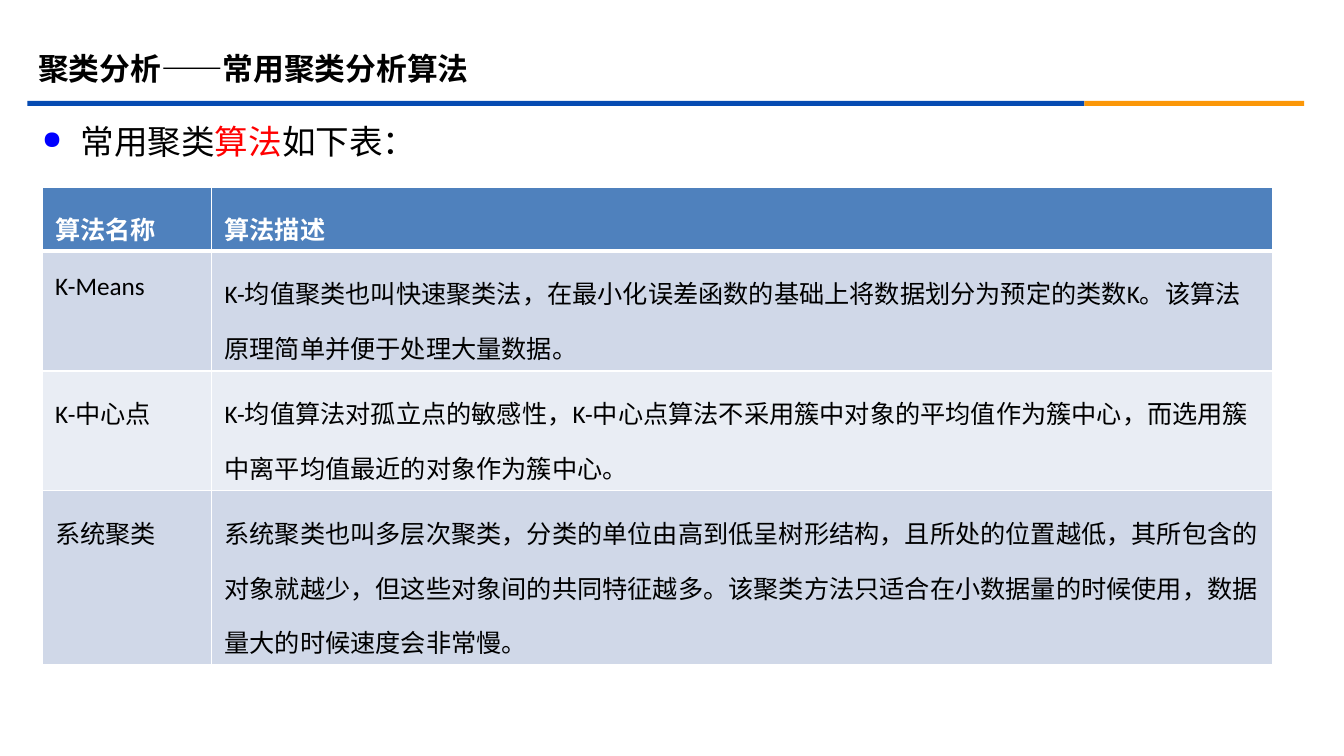
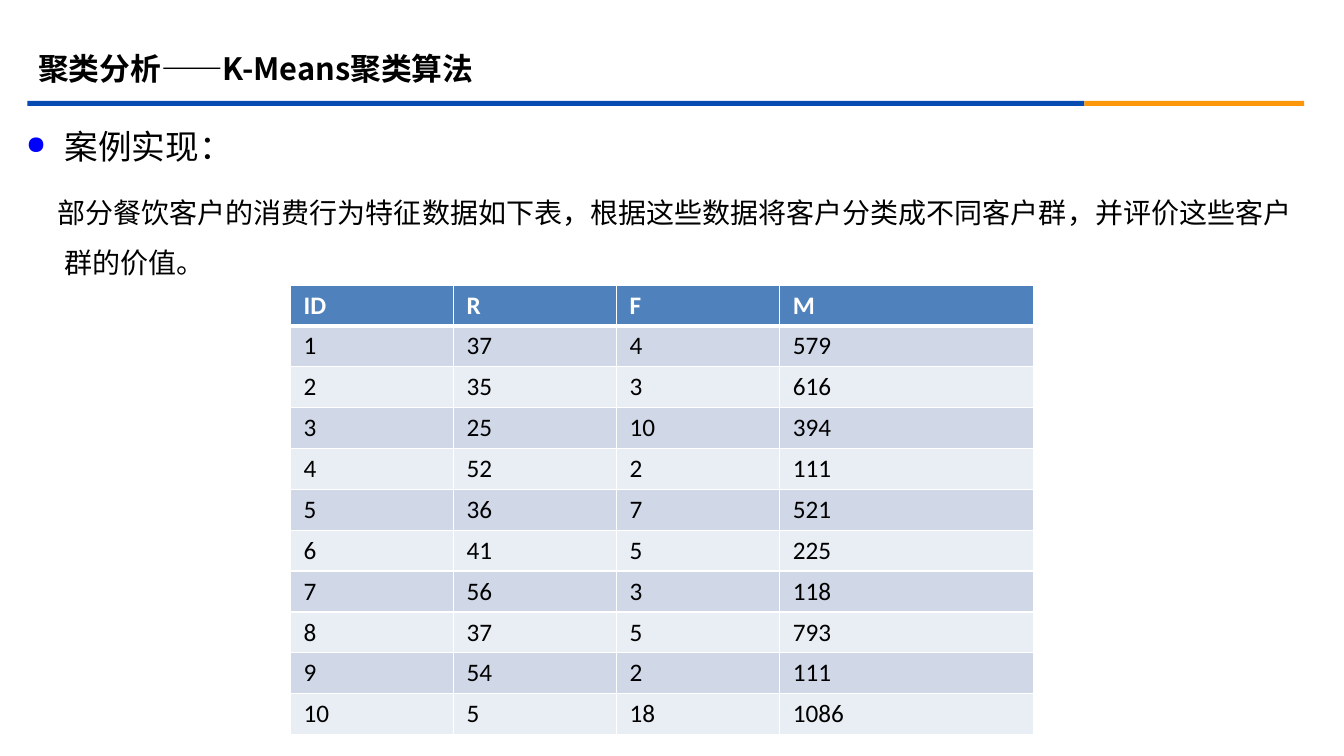
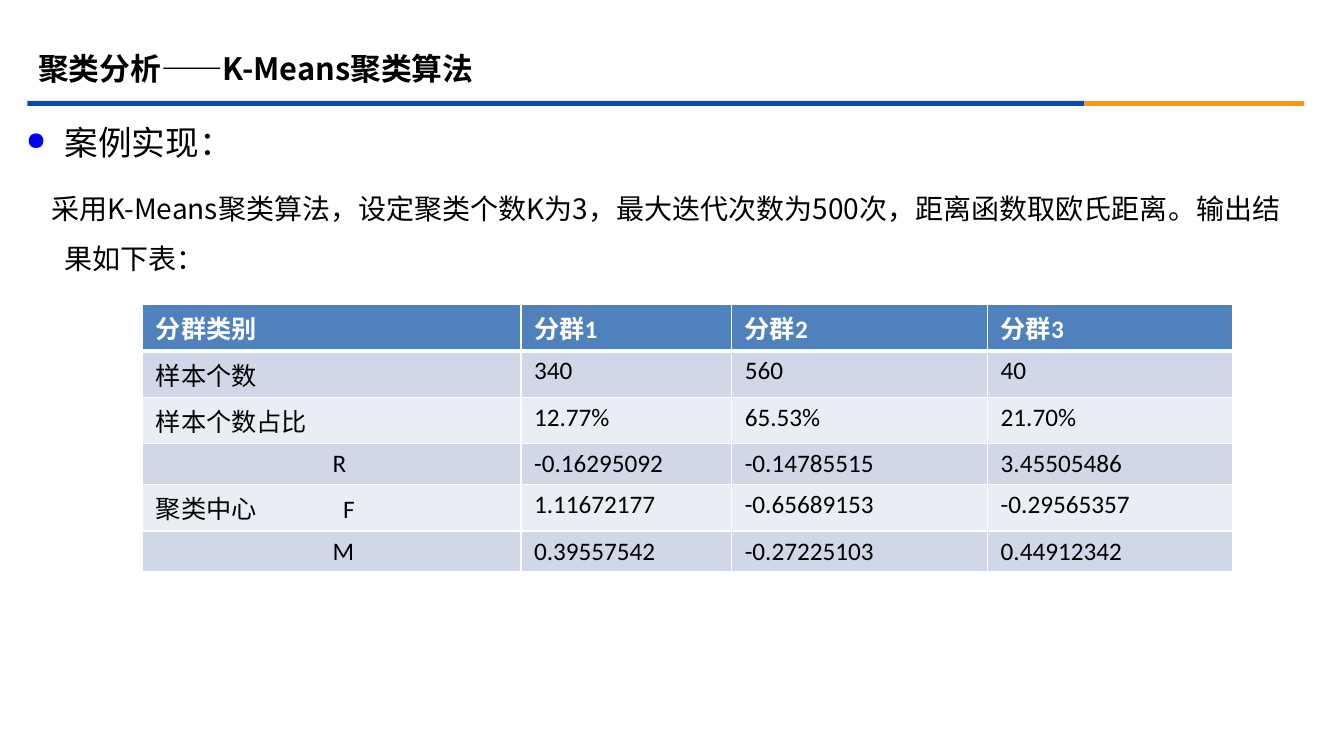
from lxml import etree
from pptx import Presentation
from pptx.dml.color import RGBColor
from pptx.enum.shapes import MSO_SHAPE
from pptx.enum.text import MSO_ANCHOR, MSO_AUTO_SIZE, PP_ALIGN
from pptx.oxml.ns import qn
from pptx.util import Cm, Pt

RECTANGLE = MSO_SHAPE.RECTANGLE
MIDDLE = MSO_ANCHOR.MIDDLE
LEFT = PP_ALIGN.LEFT
NO_AUTOFIT = MSO_AUTO_SIZE.NONE

# Shared style
CJK_FONT = "Noto Sans CJK SC"
TABLE_FONT = "Calibri"
BLACK, WHITE, RED = "000000", "FFFFFF", "FF0000"
BULLET_BLUE = "0000FF"
BAND_BLUE, BAND_ORANGE = "064BB2", "FB9708"
HEADER_FILL = "4F81BD"
ROW_FILLS = ("D0D8E8", "E9EDF4")
TITLE_BOX = (0.71, 0.99, 30.48, 1.47)
BANDS = ((0.69, 26.64, BAND_BLUE), (27.33, 5.54, BAND_ORANGE))
BAND_TOP, BAND_HEIGHT = 2.54, 0.13
HANGING = 0.97
WIDE_SPACING = 1.5
LATIN_ROW, CJK_ROW = 1.03, 1.17


def color(value):
    return RGBColor.from_string(value)


def lengths(box):
    return [Cm(value) for value in box]


def add_run(paragraph, text, size, value=BLACK, bold=False, font=CJK_FONT):
    run = paragraph.add_run()
    run.text = text
    run.font.size = Pt(size)
    run.font.bold = bold
    run.font.color.rgb = color(value)
    run.font.name = font
    east_asian = etree.SubElement(run._r.get_or_add_rPr(), qn("a:ea"))
    east_asian.set("typeface", CJK_FONT)


def set_indent(paragraph, left, first=0.0):
    properties = paragraph._p.get_or_add_pPr()
    properties.set("marL", str(Cm(left)))
    properties.set("indent", str(Cm(first)))
    return properties


def add_bullet(paragraph):
    properties = set_indent(paragraph, HANGING, -HANGING)
    bullet_color = etree.SubElement(properties, qn("a:buClr"))
    etree.SubElement(bullet_color, qn("a:srgbClr")).set("val", BULLET_BLUE)
    etree.SubElement(properties, qn("a:buSzPct")).set("val", "75000")
    etree.SubElement(properties, qn("a:buChar")).set("char", "●")


def add_tab_stop(paragraph, position):
    tabs = etree.SubElement(paragraph._p.get_or_add_pPr(), qn("a:tabLst"))
    tab = etree.SubElement(tabs, qn("a:tab"))
    tab.set("pos", str(Cm(position)))
    tab.set("algn", "l")


def add_titled_slide(presentation, title_text):
    """Slide with the two-colour band and the formatted title."""
    slide = presentation.slides.add_slide(presentation.slide_layouts[5])
    for left, width, fill in BANDS:
        band = slide.shapes.add_shape(
            RECTANGLE, *lengths((left, BAND_TOP, width, BAND_HEIGHT)))
        band.shadow.inherit = False
        band.fill.solid()
        band.fill.fore_color.rgb = color(fill)
        band.line.fill.background()
    title = slide.shapes.title
    title.left, title.top, title.width, title.height = lengths(TITLE_BOX)
    frame = title.text_frame
    frame.word_wrap = True
    frame.auto_size = NO_AUTOFIT
    frame.vertical_anchor = MIDDLE
    paragraph = frame.paragraphs[0]
    paragraph.alignment = LEFT
    add_run(paragraph, title_text, 22, bold=True)
    return slide


def add_body(slide, box, heading, detail=None, first_indent=0.0):
    """Bulleted heading made of (text, colour) runs, with an optional detail."""
    frame = slide.shapes.add_textbox(*lengths(box)).text_frame
    frame.word_wrap = True
    frame.margin_left = frame.margin_right = 0
    frame.margin_top = frame.margin_bottom = 0
    paragraph = frame.paragraphs[0]
    add_bullet(paragraph)
    paragraph.line_spacing = WIDE_SPACING
    for text, value in heading:
        add_run(paragraph, text, 24, value)
    if detail:
        paragraph = frame.add_paragraph()
        set_indent(paragraph, HANGING, first_indent)
        paragraph.line_spacing = WIDE_SPACING
        paragraph.space_before = Pt(8.5)
        add_run(paragraph, detail, 20)


def set_borders(cell, top, bottom):
    properties = cell._tc.get_or_add_tcPr()
    for side, width in (("L", 1), ("R", 1), ("T", top), ("B", bottom)):
        line = etree.SubElement(properties, qn("a:ln" + side))
        line.set("w", str(Pt(width)))
        fill = etree.SubElement(line, qn("a:solidFill"))
        etree.SubElement(fill, qn("a:srgbClr")).set("val", WHITE)


def format_cell(cell, text, row, line_spacing):
    header = row == 0
    set_borders(cell, top=3 if row == 1 else 1, bottom=3 if header else 1)
    cell.fill.solid()
    cell.fill.fore_color.rgb = color(
        HEADER_FILL if header else ROW_FILLS[(row - 1) % 2])
    cell.margin_left = cell.margin_right = Cm(0.33)
    cell.margin_top = cell.margin_bottom = Cm(0.13)
    paragraph = cell.text_frame.paragraphs[0]
    paragraph.line_spacing = line_spacing
    add_run(paragraph, text, 18, WHITE if header else BLACK, header, TABLE_FONT)


def add_data_table(slide, left, top, widths, heights, rows, line_spacing=1.0):
    box = (left, top, sum(widths), sum(heights))
    table = slide.shapes.add_table(
        len(rows), len(widths), *lengths(box)).table
    for column, width in zip(table.columns, widths):
        column.width = Cm(width)
    for index, (height, values) in enumerate(zip(heights, rows)):
        table.rows[index].height = Cm(height)
        for column, text in enumerate(values):
            format_cell(table.cell(index, column), text, index, line_spacing)
    return table


def add_algorithm_slide(presentation):
    slide = add_titled_slide(presentation, "聚类分析——常用聚类分析算法")
    add_body(slide, (1.06, 2.54, 31.22, 2.18),
             [("常用聚类", BLACK), ("算法", RED), ("如下表：", BLACK)])
    rows = [
        ("算法名称", "算法描述"),
        ("K-Means", "K-均值聚类也叫快速聚类法，在最小化误差函数的基础上将数据划分为"
                    "预定的类数K。该算法原理简单并便于处理大量数据。"),
        ("K-中心点", "K-均值算法对孤立点的敏感性，K-中心点算法不采用簇中对象的平均值"
                     "作为簇中心，而选用簇中离平均值最近的对象作为簇中心。"),
        ("系统聚类", "系统聚类也叫多层次聚类，分类的单位由高到低呈树形结构，且所处的"
                     "位置越低，其所包含的对象就越少，但这些对象间的共同特征越多。"
                     "该聚类方法只适合在小数据量的时候使用，数据量大的时候速度会非常慢。"),
    ]
    add_data_table(slide, 1.06, 4.72, (4.27, 26.75), (1.61, 3.02, 3.02, 4.38),
                   rows, WIDE_SPACING)


def add_case_slide(presentation, body_top, detail, first_indent):
    slide = add_titled_slide(presentation, "聚类分析——K-Means聚类算法")
    add_body(slide, (0.66, body_top, 32, 4.52), [("案例实现：", BLACK)],
             detail, first_indent)
    return slide


def add_customer_slide(presentation):
    slide = add_case_slide(
        presentation, 2.67,
        "部分餐饮客户的消费行为特征数据如下表，根据这些数据将客户分类成不同客户群，"
        "并评价这些客户群的价值。", -0.18)
    customers = [
        (37, 4, 579), (35, 3, 616), (25, 10, 394), (52, 2, 111), (36, 7, 521),
        (41, 5, 225), (56, 3, 118), (37, 5, 793), (54, 2, 111), (5, 18, 1086),
    ]
    rows = [("ID", "R", "F", "M")]
    for number, values in enumerate(customers, start=1):
        rows.append([str(value) for value in (number, *values)])
    add_data_table(slide, 7.32, 7.18, (4.11, 4.11, 4.11, 6.4),
                   [LATIN_ROW] * len(rows), rows)


def add_result_slide(presentation):
    slide = add_case_slide(
        presentation, 2.57,
        "采用K-Means聚类算法，设定聚类个数K为3，最大迭代次数为500次，"
        "距离函数取欧氏距离。输出结果如下表：", -0.34)
    rows = [
        ("分群类别", "分群1", "分群2", "分群3"),
        ("样本个数", "340", "560", "40"),
        ("样本个数占比", "12.77%", "65.53%", "21.70%"),
        ("R", "-0.16295092", "-0.14785515", "3.45505486"),
        ("聚类中心\tF", "1.11672177", "-0.65689153", "-0.29565357"),
        ("M", "0.39557542", "-0.27225103", "0.44912342"),
    ]
    heights = [LATIN_ROW if row[0].isascii() else CJK_ROW for row in rows]
    table = add_data_table(slide, 3.6, 7.67, (9.53, 5.31, 6.45, 6.17),
                           heights, rows)
    # Cluster-centre labels stand in a second column inside the first
    for row in (3, 5):
        set_indent(table.cell(row, 0).text_frame.paragraphs[0], 4.45)
    add_tab_stop(table.cell(4, 0).text_frame.paragraphs[0], 4.72)


def main():
    presentation = Presentation()
    presentation.slide_width = Cm(33.87)
    presentation.slide_height = Cm(19.05)
    add_algorithm_slide(presentation)
    add_customer_slide(presentation)
    add_result_slide(presentation)
    presentation.save("out.pptx")


if __name__ == "__main__":
    main()
